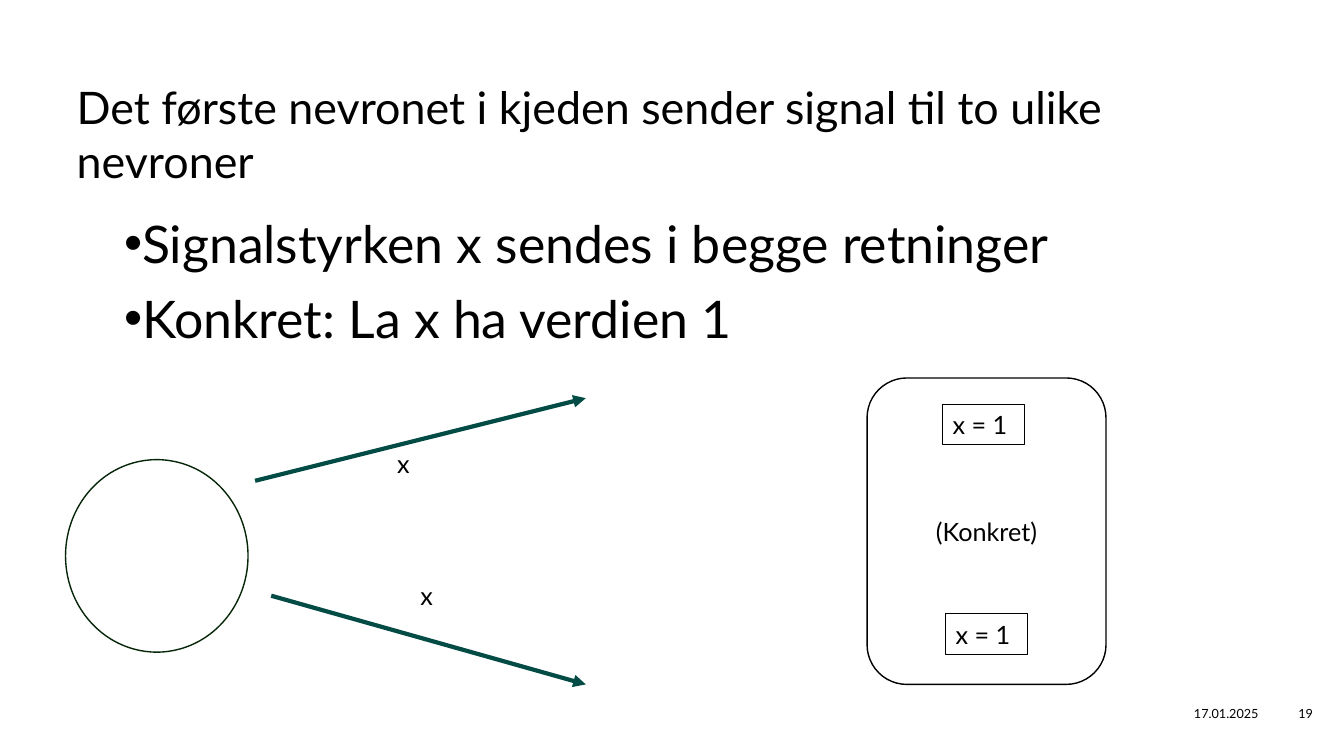
from dataclasses import dataclass

from lxml import etree
from pptx import Presentation
from pptx.dml.color import RGBColor
from pptx.enum.shapes import MSO_CONNECTOR, MSO_SHAPE
from pptx.enum.text import MSO_ANCHOR, MSO_AUTO_SIZE, PP_ALIGN
from pptx.oxml.ns import qn
from pptx.util import Emu, Inches, Pt

LEFT, CENTER, RIGHT = PP_ALIGN.LEFT, PP_ALIGN.CENTER, PP_ALIGN.RIGHT
TOP, MIDDLE = MSO_ANCHOR.TOP, MSO_ANCHOR.MIDDLE
FIXED, GROW = MSO_AUTO_SIZE.NONE, MSO_AUTO_SIZE.SHAPE_TO_FIT_TEXT
OVAL, BOX, ROUNDED = MSO_SHAPE.OVAL, MSO_SHAPE.RECTANGLE, MSO_SHAPE.ROUNDED_RECTANGLE


@dataclass(frozen=True)
class Theme:
    font: str = "Lato"
    ink: str = "000000"
    neuron: str = "062608"
    signal: str = "034B45"
    title: int = 32
    body: int = 37
    label: int = 18
    footer: int = 9


THEME = Theme()
WIDTH, HEIGHT = 13.33, 7.5
MARGIN = 0.76
LABEL_SIZE = (0.81, 0.4)
FOOTER_TOP, FOOTER_HEIGHT = 6.88, 0.4

TITLE = "Det første nevronet i kjeden sender signal til to ulike nevroner"
TITLE_AREA = (MARGIN, 0.79, 10.36, 1.43)
POINTS = ["Signalstyrken x sendes i begge retninger", "Konkret: La x ha verdien 1"]
POINTS_AREA = (MARGIN, 2.22, 12.18, 1.31)
FOOTERS = [("17.01.2025", 11.11, 1.47, RIGHT), ("19", 12.57, 0.76, CENTER)]

NEURON_AREA = (0.65, 4.56, 1.81, 1.91)
SIGNALS = [  # start, end, label position
    ((2.53, 4.77), (5.81, 3.95), (3.84, 4.4)),
    ((2.69, 5.91), (5.81, 6.79), (4.07, 5.71)),
]
SIGNAL_LABEL = "x"
EXAMPLE, EXAMPLE_AREA = "(Konkret)", (8.6, 3.75, 2.37, 3.04)
VALUE, VALUE_PLACES = "x = 1", [(9.35, 4.01), (9.38, 6.09)]


def inches(area):
    return [Inches(length) for length in area]


def write(frame, lines, size, align=LEFT, **settings):
    """Fill a text frame with lines and apply frame settings."""
    layout = {"word_wrap": True, "auto_size": FIXED, "vertical_anchor": TOP, **settings}
    for name, value in layout.items():
        setattr(frame, name, value)
    for number, line in enumerate(lines):
        para = frame.paragraphs[0] if number == 0 else frame.add_paragraph()
        para.alignment = align
        span = para.add_run()
        span.text = line
        for name, value in {"name": THEME.font, "size": Pt(size)}.items():
            setattr(span.font, name, value)
        span.font.color.rgb = RGBColor.from_string(THEME.ink)


def fill_placeholder(box, area, lines, size):
    for name, value in zip(("left", "top", "width", "height"), inches(area)):
        setattr(box, name, value)
    margins = {f"margin_{side}": 0 for side in ("left", "top", "right", "bottom")}
    write(box.text_frame, lines, size, **margins)


def format_points(frame):
    for number, para in enumerate(frame.paragraphs):
        properties = para._p.get_or_add_pPr()
        properties.set("marL", "0")
        properties.set("indent", str(Inches(0.47)))
        etree.SubElement(properties, qn("a:buChar"), char="•")
        para.line_spacing = 0.8
        para.space_before = Pt(18 if number else 0)


def add_outline(shapes, kind, area, color, width):
    shape = shapes.add_shape(kind, *inches(area))
    shape.shadow.inherit = False
    shape.fill.background()
    shape.line.color.rgb = RGBColor.from_string(color)
    shape.line.width = Pt(width)
    return shape


def add_text(shapes, area, text, size, align=LEFT, **settings):
    box = shapes.add_textbox(*inches(area))
    write(box.text_frame, [text], size, align, **settings)


def add_arrow(shapes, start, end):
    arrow = shapes.add_connector(MSO_CONNECTOR.STRAIGHT, *inches(start + end))
    arrow.line.color.rgb = RGBColor.from_string(THEME.signal)
    arrow.line.width = Pt(3)
    etree.SubElement(arrow.line._get_or_add_ln(), qn("a:tailEnd"), type="triangle")
    etree.SubElement(arrow._element.spPr, qn("a:effectLst"))


def add_example(shapes):
    """Group the two value boxes with the rounded frame around them."""
    group = shapes.add_group_shape().shapes
    for place in VALUE_PLACES:
        value = add_outline(group, BOX, place + LABEL_SIZE, THEME.ink, 0.75)
        write(value.text_frame, [VALUE], THEME.label, auto_size=GROW)
    border = add_outline(group, ROUNDED, EXAMPLE_AREA, THEME.ink, 1)
    write(border.text_frame, [EXAMPLE], THEME.label, CENTER, vertical_anchor=MIDDLE)


def main():
    deck = Presentation()
    deck.slide_width, deck.slide_height = Inches(WIDTH), Emu(Inches(HEIGHT))
    page = deck.slides.add_slide(deck.slide_layouts[1])
    shapes = page.shapes
    fill_placeholder(shapes.title, TITLE_AREA, [TITLE], THEME.title)
    body = page.placeholders[1]
    fill_placeholder(body, POINTS_AREA, POINTS, THEME.body)
    format_points(body.text_frame)
    for text, left, width, align in FOOTERS:
        area = (left, FOOTER_TOP, width, FOOTER_HEIGHT)
        add_text(shapes, area, text, THEME.footer, align, vertical_anchor=MIDDLE)
    add_outline(shapes, OVAL, NEURON_AREA, THEME.neuron, 1)
    for start, end, place in SIGNALS:
        add_arrow(shapes, start, end)
        add_text(shapes, place + LABEL_SIZE, SIGNAL_LABEL, THEME.label, auto_size=GROW)
    add_example(shapes)
    deck.save("out.pptx")


if __name__ == "__main__":
    main()
